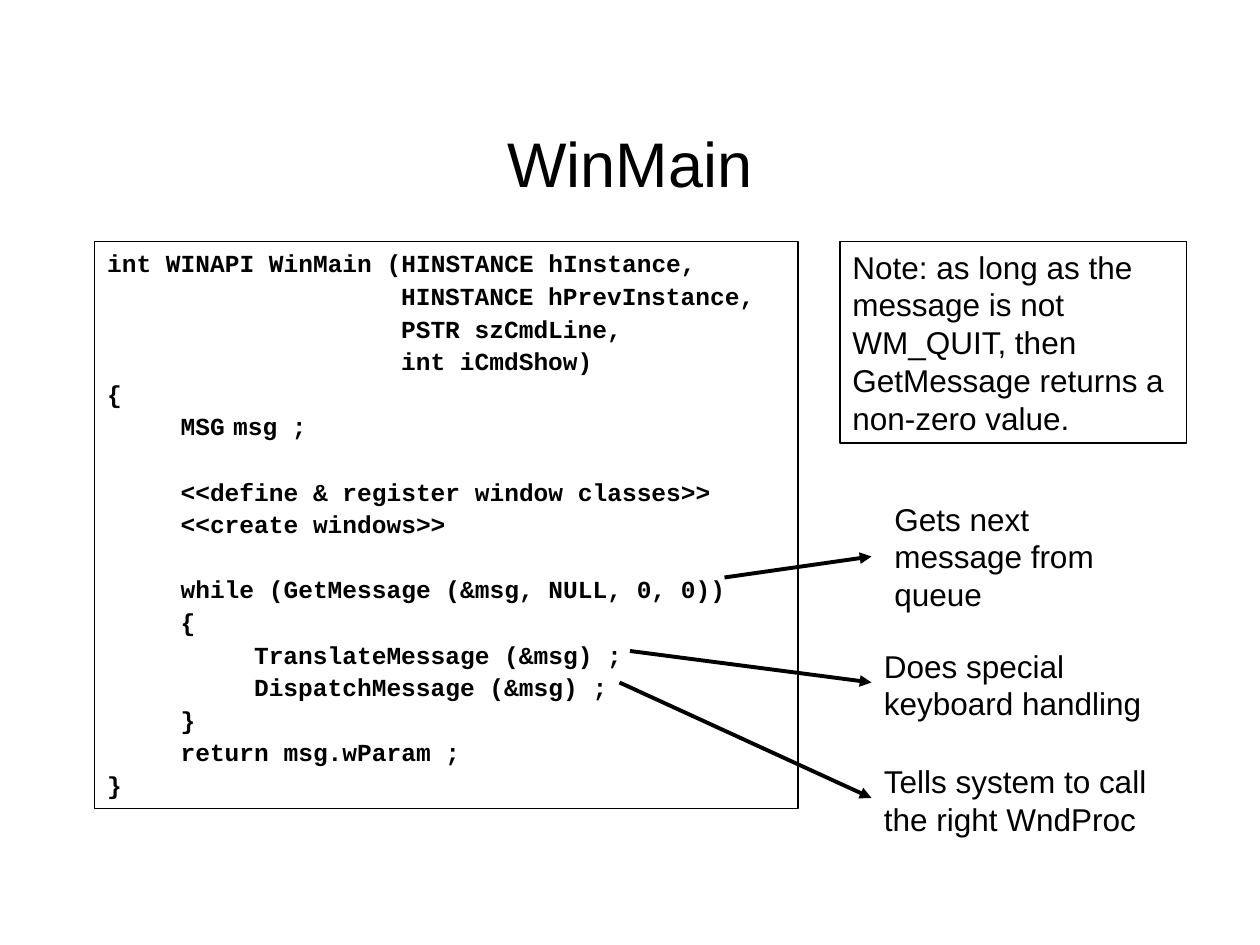
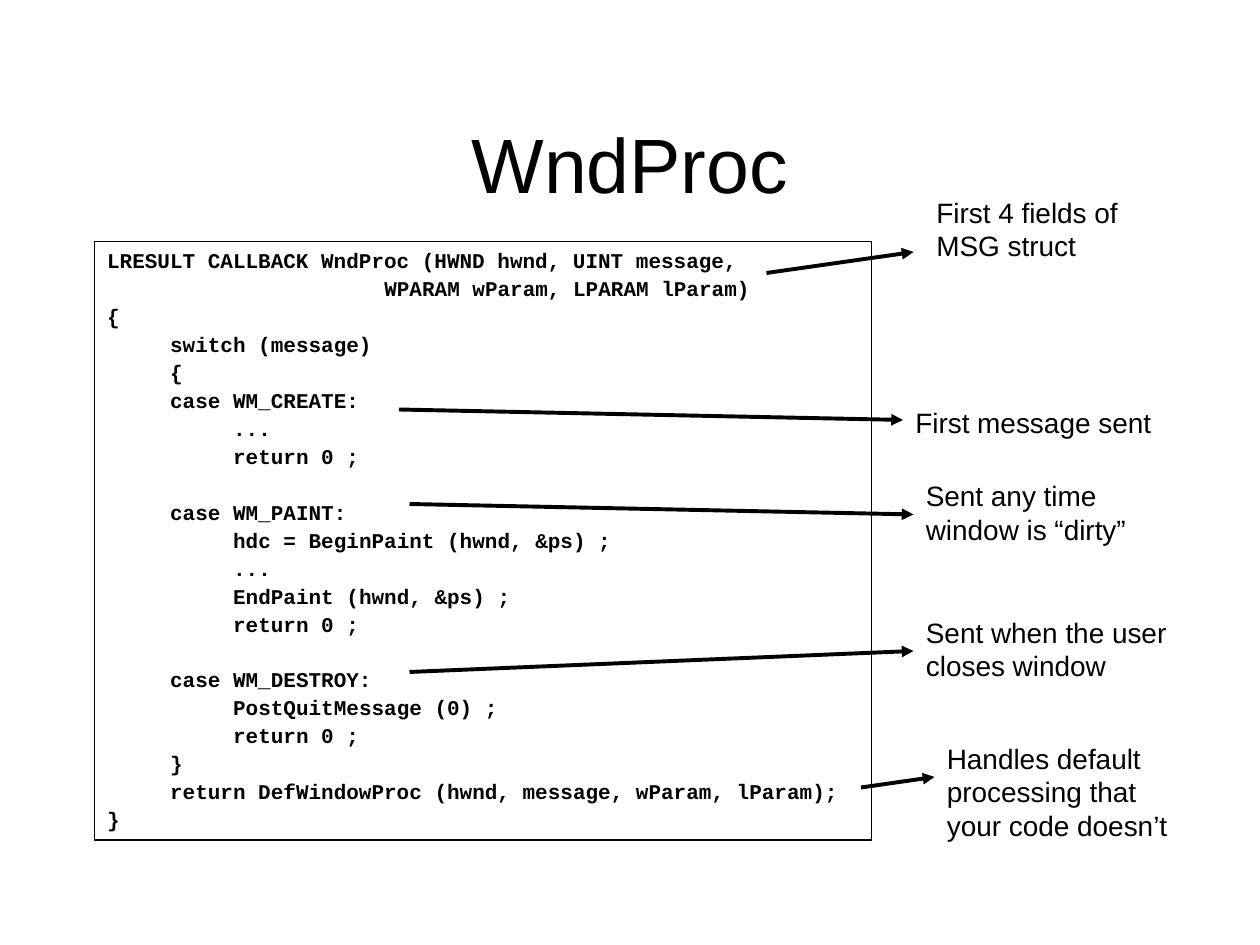
"""Build two annotated code slides: WinMain and WndProc."""
from lxml import etree
from pptx import Presentation
from pptx.dml.color import RGBColor
from pptx.enum.shapes import MSO_CONNECTOR
from pptx.enum.text import MSO_ANCHOR, MSO_AUTO_SIZE, PP_ALIGN
from pptx.oxml.ns import qn
from pptx.util import Inches, Pt

LEFT, CENTER = PP_ALIGN.LEFT, PP_ALIGN.CENTER
TOP, MIDDLE = MSO_ANCHOR.TOP, MSO_ANCHOR.MIDDLE
FIXED, GROW = MSO_AUTO_SIZE.NONE, MSO_AUTO_SIZE.SHAPE_TO_FIT_TEXT
STRAIGHT = MSO_CONNECTOR.STRAIGHT

INK = "000000"
CELL = Inches(1) / 12
CHAR_WIDTH, LINE_PITCH = 0.6, 1.33
TAB_COLUMN = 18
CODE_LEFT, CODE_TOP = 9, 23


def grid(*cells):
    """Turn grid cells (120 across, 90 down) into slide lengths."""
    return [round(cell * CELL) for cell in cells]


def write(shape, text, size, font="Arial", bold=False, align=LEFT, anchor=TOP,
          fit=FIXED, color=INK, outline=None):
    """Write plain text, or code given as (column, line) pairs with None as a gap."""
    frame = shape.text_frame
    frame.word_wrap, frame.auto_size, frame.vertical_anchor = True, fit, anchor
    if outline:
        shape.line.color.rgb = RGBColor.from_string(outline)
        shape.line.width = Pt(0.75)
    is_code = not isinstance(text, str)
    if is_code:
        frame.margin_top = Inches(0.03)
    paragraph, gap = frame.paragraphs[0], 0
    for entry in text if is_code else [(0, text)]:
        if entry is None:
            gap = LINE_PITCH * size
            continue
        column, line = entry
        if paragraph.runs:
            paragraph = frame.add_paragraph()
        paragraph.alignment = align
        run = paragraph.add_run()
        run.text = line
        run.font.name, run.font.size, run.font.bold = font, Pt(size), bold
        run.font.color.rgb = RGBColor.from_string(color)
        if is_code:
            paragraph.line_spacing, paragraph.space_before = Pt(LINE_PITCH * size), Pt(gap)
            properties = paragraph._p.get_or_add_pPr()
            properties.set("marL", "0")
            properties.set("indent", str(Pt(column * CHAR_WIDTH * size)))
            etree.SubElement(properties, qn("a:buNone"))
            tabs = etree.SubElement(properties, qn("a:tabLst"))
            stop = Pt(TAB_COLUMN * CHAR_WIDTH * size)
            etree.SubElement(tabs, qn("a:tab"), pos=str(stop), algn="l")
        gap = 0


win_main = [
    (0, "int WINAPI WinMain (HINSTANCE hInstance,"),
    (20, "HINSTANCE hPrevInstance,"),
    (20, "PSTR szCmdLine,"),
    (20, "int iCmdShow)"),
    (0, "{"),
    (5, "MSG\tmsg ;"),
    None,
    (5, "<<define & register window classes>>"),
    (5, "<<create windows>>"),
    None,
    (5, "while (GetMessage (&msg, NULL, 0, 0))"),
    (5, "{"),
    (10, "TranslateMessage (&msg) ;"),
    (10, "DispatchMessage (&msg) ;"),
    (5, "}"),
    (5, "return msg.wParam ;"),
    (0, "}"),
]
wnd_proc = [
    (0, "LRESULT CALLBACK WndProc (HWND hwnd, UINT message,"),
    (22, "WPARAM wParam, LPARAM lParam)"),
    (0, "{"),
    (5, "switch (message)"),
    (5, "{"),
    (5, "case WM_CREATE:"),
    (10, "..."),
    (10, "return 0 ;"),
    None,
    (5, "case WM_PAINT:"),
    (10, "hdc = BeginPaint (hwnd, &ps) ;"),
    (10, "..."),
    (10, "EndPaint (hwnd, &ps) ;"),
    (10, "return 0 ;"),
    None,
    (5, "case WM_DESTROY:"),
    (10, "PostQuitMessage (0) ;"),
    (10, "return 0 ;"),
    (5, "}"),
    (5, "return DefWindowProc (hwnd, message, wParam, lParam);"),
    (0, "}"),
]
main_remarks = [
    ("Gets next message from queue", (84, 47, 25.2, 12), (69, 55, 83, 53)),
    ("Does special keyboard handling", (83, 61, 28, 8.4), (60, 62, 83, 65)),
    ("Tells system to call the right WndProc", (83, 72, 28, 8.4), (59, 65, 83, 76)),
]
proc_remarks = [
    ("First 4 fields of MSG struct", (88, 18, 25.2, 7.7), (73, 26, 87, 24)),
    ("Handles default processing that your code doesn’t",
     (89, 70, 25.2, 10.8), (82, 75, 89, 74)),
    ("First message sent", (86, 38, 25.2, 4.4), (38, 39, 86, 40)),
    ("Sent any time window is “dirty”", (87, 45, 25.2, 7.7), (39, 48, 87, 49)),
    ("Sent when the user closes window", (87, 58, 27, 7.7), (39, 64, 87, 62)),
]
topics = [
    ("WinMain", 36, win_main, 14, (67, 54), main_remarks, 18),
    ("WndProc", 44, wnd_proc, 12, (74, 57), proc_remarks, 16),
]

deck = Presentation()
deck.slide_width, deck.slide_height = grid(120, 90)

for name, name_size, code, code_size, code_extent, remarks, remark_size in topics:
    slide = deck.slides.add_slide(deck.slide_layouts[1])
    heading, listing = slide.placeholders
    heading.left, heading.top, heading.width, heading.height = grid(9, 8, 102, 15)
    write(heading, name, name_size, align=CENTER, anchor=MIDDLE)
    listing.left, listing.top, listing.width, listing.height = grid(
        CODE_LEFT, CODE_TOP, *code_extent)
    write(listing, code, code_size, font="Courier New", bold=True, outline=INK)

    for remark, place, ends in remarks:
        write(slide.shapes.add_textbox(*grid(*place)), remark, remark_size, fit=GROW)
        arrow = slide.shapes.add_connector(STRAIGHT, *grid(*ends))
        arrow.line.color.rgb = RGBColor.from_string(INK)
        arrow.line.width = Pt(2.25)
        etree.SubElement(arrow.line._get_or_add_ln(), qn("a:tailEnd"), type="triangle")
        etree.SubElement(arrow._element.spPr, qn("a:effectLst"))

quit_note = deck.slides[0].shapes.add_textbox(*grid(80, CODE_TOP, 33, 19.2))
write(quit_note, "Note: as long as the message is not WM_QUIT, then GetMessage "
      "returns a non-zero value.", 18, fit=GROW, outline=INK)

deck.save("out.pptx")
